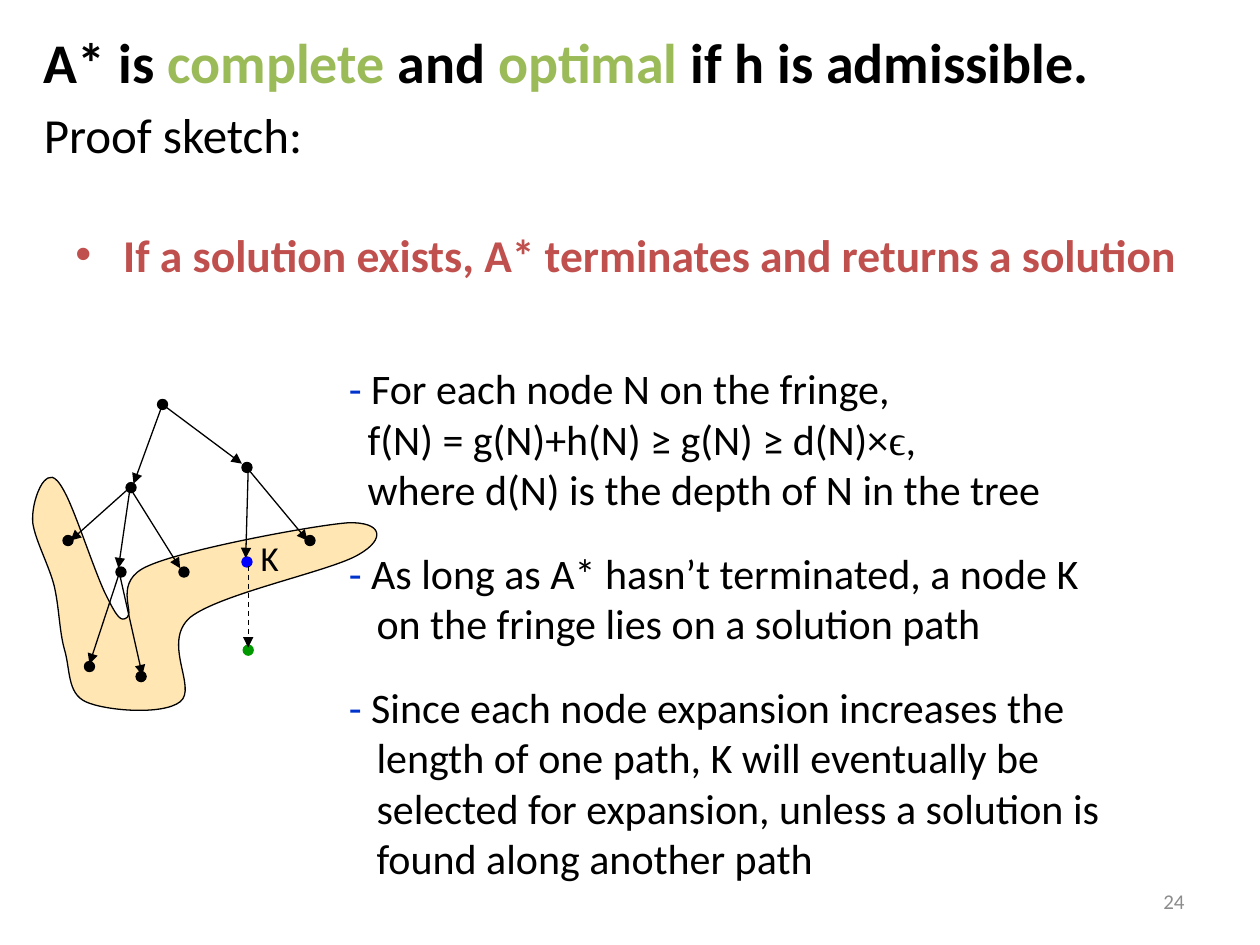
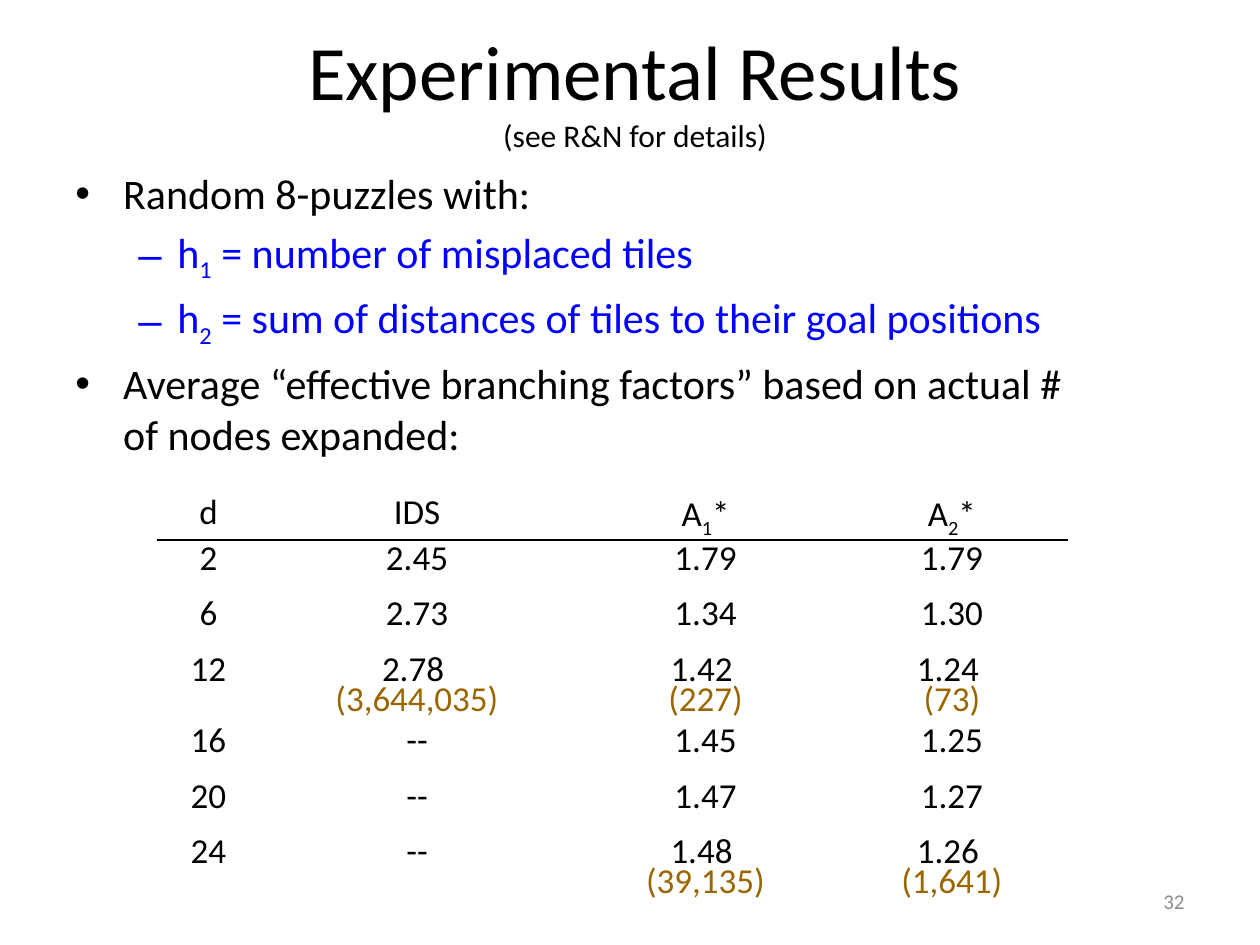
from lxml import etree
from pptx import Presentation, oxml
from pptx.dml.color import RGBColor
from pptx.enum import dml, shapes, text
from pptx.oxml import ns
from pptx.util import Inches, Pt

hue = RGBColor.from_string
BLACK, WHITE, GREEN, RED = "000000", "FFFFFF", "9BBB59", "C0504D"
BLUE, DASH, GOLD, GRAY, SAND = "0000FF", "0033CC", "996600", "8C8C8C", "FFE6B3"
LEFT, MID, RIGHT = text.PP_ALIGN.LEFT, text.PP_ALIGN.CENTER, text.PP_ALIGN.RIGHT
SUB = {"base": -25000}


def box(page, x, y, w, h, anchor=text.MSO_ANCHOR.TOP, wrap=True):
    frame = page.shapes.add_textbox(Inches(x), Inches(y), Inches(w), Inches(h)).text_frame
    frame.word_wrap = wrap
    frame.vertical_anchor = anchor
    return frame


def write(frame, runs, size=24, color=BLACK, bold=False, font="Calibri", align=LEFT,
          before=0, lines=None, left=0, hang=0, bullet=None):
    para = frame.paragraphs[0]
    if para.runs:
        para = frame.add_paragraph()
    para.alignment = align
    para.space_before = Pt(before)
    para.line_spacing = lines
    props = para._p.get_or_add_pPr()
    props.set("marL", str(Inches(left)))
    props.set("indent", str(-Inches(hang)))
    if bullet:
        etree.SubElement(props, ns.qn("a:buFont")).set("typeface", "Arial")
        etree.SubElement(props, ns.qn("a:buChar")).set("char", bullet)
    for words, own in [(runs, {})] if isinstance(runs, str) else runs:
        for i, piece in enumerate(words.split("\n")):
            if i:
                para.add_line_break()
            if not piece:
                continue
            run = para.add_run()
            run.text = piece
            run.font.name = own.get("font", font)
            run.font.size = Pt(own.get("size", size))
            run.font.bold = bold
            run.font.color.rgb = hue(own.get("color", color))
            if "base" in own:
                run._r.get_or_add_rPr().set("baseline", str(own["base"]))


deck = Presentation()
deck.slide_width, deck.slide_height = Inches(10), Inches(7.5)
proof, tests = [deck.slides.add_slide(deck.slide_layouts[6]) for _ in range(2)]
for page, num in ((proof, "24"), (tests, "32")):
    foot = box(page, 7.17, 6.95, 2.33, 0.4, text.MSO_ANCHOR.MIDDLE)
    write(foot, num, size=12, color=GRAY, align=RIGHT)

steps = box(proof, 2.67, 2.83, 7.17, 4.3)
dash = ("-", {"color": DASH})
write(steps, [dash, (" For each node N on the fringe,\nf(N) = g(N)+h(N) ≥ g(N) ≥ d(N)×", {}),
              ("ϵ", {"font": "Times New Roman"}),
              (",\nwhere d(N) is the depth of N in the tree", {})], left=0.15, hang=0.15)
for words in (
    " As long as A* hasn’t terminated, a node K\non the fringe lies on a solution path",
    " Since each node expansion increases the\nlength of one path, K will eventually be\n"
    "selected for expansion, unless a solution is\nfound along another path",
):
    write(steps, [dash, (words, {})], before=19, left=0.22, hang=0.22)

start = (0.35, 3.82)
curves = [
    (0.39, 3.78, 0.43, 3.75, 0.51, 3.9), (0.6, 4.06, 0.76, 4.57, 0.85, 4.74),
    (0.93, 4.9, 0.96, 4.94, 1.01, 4.9), (1.07, 4.86, 0.89, 4.61, 1.18, 4.49),
    (1.47, 4.36, 2.49, 4.17, 2.76, 4.15), (3.04, 4.14, 3.06, 4.28, 2.85, 4.4),
    (2.64, 4.53, 1.75, 4.71, 1.51, 4.9), (1.28, 5.1, 1.57, 5.46, 1.43, 5.57),
    (1.29, 5.68, 0.83, 5.64, 0.68, 5.57), (0.53, 5.5, 0.56, 5.31, 0.51, 5.15),
    (0.47, 5, 0.47, 4.82, 0.43, 4.65), (0.39, 4.49, 0.28, 4.29, 0.26, 4.15),
    (0.25, 4.01, 0.31, 3.86, 0.35, 3.82),
]
pen = proof.shapes.build_freeform(Inches(start[0]), Inches(start[1]))
pen.add_line_segments([(Inches(c[4]), Inches(c[5])) for c in curves], close=True)
fringe = pen.convert_to_shape()
fringe.left, fringe.top = Inches(0.25), Inches(3.75)
fringe.width, fringe.height = Inches(2.81), Inches(1.93)
trace = fringe._element.find(".//" + ns.qn("a:path"))
trace.set("w", str(fringe.width))
trace.set("h", str(fringe.height))
for step, nums in zip(list(trace), [start] + curves):
    tag = "a:moveTo" if nums == start else "a:cubicBezTo"
    bend = etree.Element(ns.qn(tag))
    for x, y in zip(nums[::2], nums[1::2]):
        spot = etree.SubElement(bend, ns.qn("a:pt"))
        spot.set("x", str(Inches(x) - fringe.left))
        spot.set("y", str(Inches(y) - fringe.top))
    trace.replace(step, bend)
fringe.shadow.inherit = False
fringe.fill.solid()
fringe.fill.fore_color.rgb = hue(SAND)
fringe.line.color.rgb = hue(BLACK)
fringe.line.width = Pt(0.75)

nodes = [(0.5, 4.25), (1.25, 3.17), (1.42, 4.5), (1.92, 3.67), (0.92, 4.5), (1, 3.83),
         (1.08, 5.33), (2.42, 4.25), (0.67, 5.25)]
nodes = [(x, y, BLACK) for x, y in nodes] + [(1.92, 4.42, BLUE), (1.93, 5.12, "009900")]
for x, y, color in nodes:
    node = proof.shapes.add_shape(shapes.MSO_SHAPE.OVAL, Inches(x), Inches(y),
                                  Inches(0.08), Inches(0.08))
    node.shadow.inherit = False
    node.fill.solid()
    node.fill.fore_color.rgb = node.line.color.rgb = hue(color)
    node.line.width = Pt(0.75)

goal = (1.97, 4.49, 1.97, 5.14)
edges = [
    (1.29, 3.21, 1.06, 3.84), (1.29, 3.21, 1.92, 3.68), (1.03, 3.87, 0.56, 4.29),
    (1.03, 3.89, 0.94, 4.51), (1.03, 3.87, 1.43, 4.51), (1.97, 3.73, 1.95, 4.43),
    (1.95, 3.7, 2.44, 4.29), (0.95, 4.54, 0.71, 5.27), (0.95, 4.56, 1.13, 5.36), goal,
]
for edge in edges:
    link = proof.shapes.add_connector(shapes.MSO_CONNECTOR.STRAIGHT, *map(Inches, edge))
    link.line.color.rgb = hue(BLACK)
    link.line.width = Pt(0.75)
    if edge == goal:
        link.line.dash_style = dml.MSO_LINE.DASH
    etree.SubElement(link.line._get_or_add_ln(), ns.qn("a:tailEnd")).set("type", "triangle")
    etree.SubElement(link._element.spPr, ns.qn("a:effectLst"))
write(box(proof, 1.97, 4.21, 0.36, 0.44, wrap=False), "K", size=20)

claim = box(proof, 0.25, 0.17, 9.42, 4.95)
write(claim, [("A* is ", {}), ("complete", {"color": GREEN}), (" and ", {}),
              ("optimal ", {"color": GREEN}), ("if h is admissible.", {})],
      size=32, bold=True, left=0.38, hang=0.38)
write(claim, "Proof sketch:", size=28, before=5.6, left=0.38, hang=0.38)
write(box(proof, 0.5, 1.75, 9, 4.95), "If a solution exists, A* terminates and returns a solution",
      size=26, color=RED, bold=True, left=0.38, hang=0.38, bullet="•")

title = box(tests, 0.5, 0.08, 9.08, 1.25, text.MSO_ANCHOR.MIDDLE)
write(title, [("Experimental Results\n", {}), ("(see R&N for details)", {"size": 18})],
      size=44, align=MID)
body = box(tests, 0.5, 1.28, 8.17, 5.33)
top = {"left": 0.38, "hang": 0.38, "bullet": "•"}
write(body, "Random 8-puzzles with:", **top)
for num, words in (("1", " = number of misplaced tiles"),
                   ("2", " = sum of distances of tiles to their goal positions")):
    write(body, [("h", {}), (num, SUB), (words, {})], color=BLUE, before=4.8,
          left=0.81, hang=0.31, bullet="–")
write(body, "Average “effective branching factors” based on actual # of nodes expanded:",
      before=4.8, **top)

rows = [
    ["d", "IDS", [("A", {}), ("1", SUB), ("*", {})], [("A", {}), ("2", SUB), ("*", {})]],
    ["2", "2.45", "1.79", "1.79"],
    ["6", "2.73", "1.34", "1.30"],
    ["12", "2.78 |(3,644,035)", "1.42 |(227)", "1.24 |(73)"],
    ["16", "--", "1.45", "1.25"],
    ["20", "--", "1.47", "1.27"],
    ["24", "--", "1.48 |(39,135)", "1.26 |(1,641)"],
]
wide, high = [0.81, 2.5, 2.08, 1.83], [0.33] + [0.44] * 5 + [0.2]
chart = tests.shapes.add_table(len(rows), len(wide), Inches(1.25), Inches(3.92),
                               Inches(sum(wide)), Inches(sum(high)))
grid = chart.table
grid.first_row = grid.horz_banding = False
for col, w in zip(grid.columns, wide):
    col.width = Inches(w)
for r, row in enumerate(rows):
    grid.rows[r].height = Inches(high[r])
    for c, value in enumerate(row):
        cell = grid.cell(r, c)
        parts = value.split("|") if isinstance(value, str) else [value]
        for part, color in zip(parts, (BLACK, GOLD)):
            write(cell.text_frame, part, size=20, color=color, align=MID, lines=0.7,
                  before=0 if r else 4)
        for side in "LRTB":
            rule = BLACK if (r, side) in ((0, "B"), (1, "T")) else WHITE
            cell._tc.get_or_add_tcPr().append(oxml.parse_xml(
                f'<a:ln{side} {ns.nsdecls("a")} w="12700"><a:solidFill>'
                f'<a:srgbClr val="{rule}"/></a:solidFill></a:ln{side}>'))
        cell.fill.background()
chart.width, chart.height = Inches(7.23), Inches(3.24)

deck.save("out.pptx")
